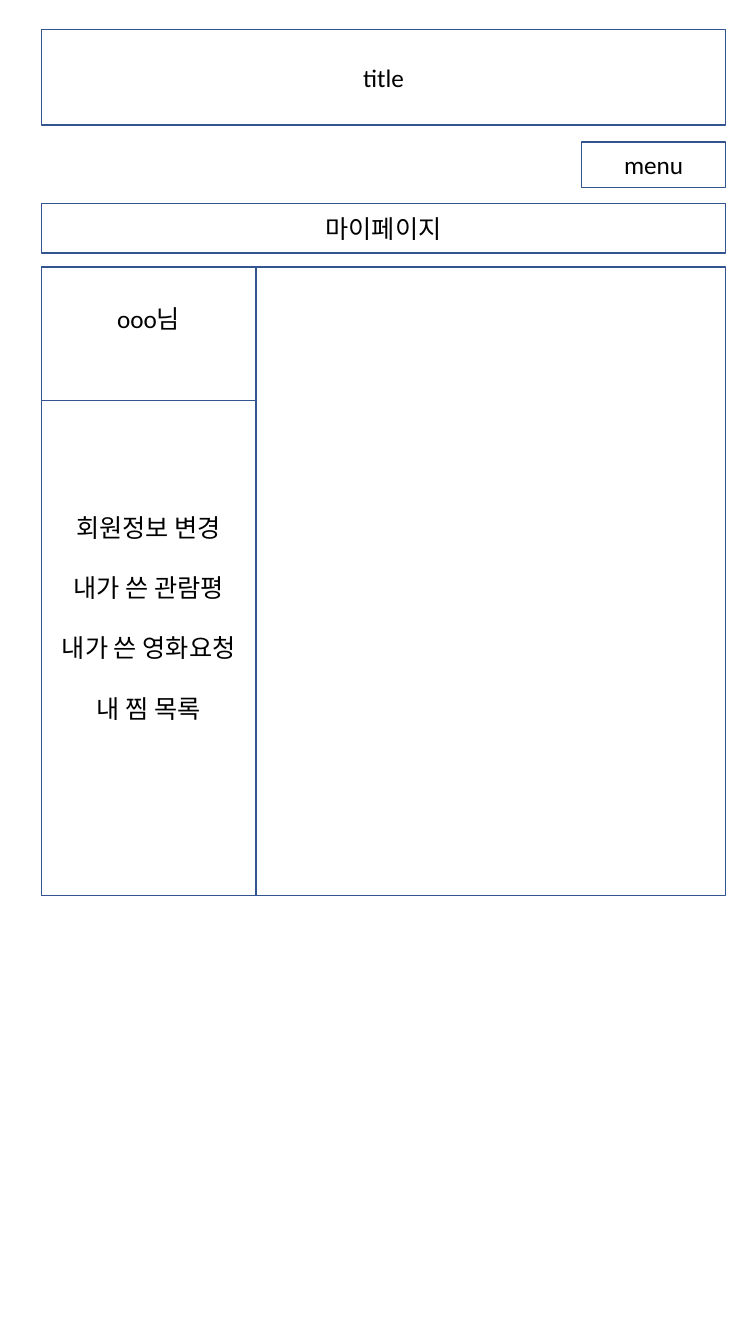
import pptx
import pptx.dml.color
import pptx.enum.shapes
import pptx.enum.text
import pptx.util
from pptx.util import Inches

COLORS = {"panel": "FFFFFF", "border": "325491", "text": "000000"}
LEFT, WIDTH, SIDEBAR_WIDTH = 0.41, 6.79, 2.13
BODY_TOP, BODY_HEIGHT, GREETING_HEIGHT = 2.65, 6.23, 1.32
SIDEBAR_LINKS = ["회원정보 변경", "내가 쓴 관람평", "내가 쓴 영화요청", "내 찜 목록"]


def rgb(name):
    return pptx.dml.color.RGBColor.from_string(COLORS[name])


def add_panel(slide, left, top, width, height, lines=(), bottom_inset=0.05):
    panel = slide.shapes.add_shape(
        pptx.enum.shapes.MSO_SHAPE.RECTANGLE,
        Inches(left), Inches(top), Inches(width), Inches(height))
    panel.shadow.inherit = False
    panel.fill.solid()
    panel.fill.fore_color.rgb = rgb("panel")
    panel.line.color.rgb = rgb("border")
    panel.line.width = pptx.util.Pt(1)

    frame = panel.text_frame
    frame.word_wrap = True
    frame.vertical_anchor = pptx.enum.text.MSO_ANCHOR.MIDDLE
    frame.margin_bottom = Inches(bottom_inset)
    for index, line in enumerate(lines):
        paragraph = frame.add_paragraph() if index else frame.paragraphs[0]
        paragraph.alignment = pptx.enum.text.PP_ALIGN.CENTER
        if index:
            paragraph.space_before = pptx.util.Pt(21.5)
        run = paragraph.add_run()
        run.text = line
        run.font.name = "Calibri"
        run.font.size = pptx.util.Pt(18)
        run.font.color.rgb = rgb("text")


def main():
    deck = pptx.Presentation()
    deck.slide_width = Inches(7.5)
    deck.slide_height = Inches(13.33)
    slide = deck.slides.add_slide(deck.slide_layouts[6])

    add_panel(slide, 5.77, 1.41, 1.43, 0.45, ["menu"])
    add_panel(slide, LEFT, 0.29, WIDTH, 0.95, ["title"])
    add_panel(slide, LEFT, BODY_TOP, WIDTH, BODY_HEIGHT)
    add_panel(slide, LEFT, BODY_TOP + GREETING_HEIGHT, SIDEBAR_WIDTH,
              BODY_HEIGHT - GREETING_HEIGHT, SIDEBAR_LINKS, 0.65)
    add_panel(slide, LEFT, BODY_TOP, SIDEBAR_WIDTH, GREETING_HEIGHT, ["ooo님"], 0.35)
    add_panel(slide, LEFT, 2.02, WIDTH, 0.49, ["마이페이지"])

    deck.save("out.pptx")


if __name__ == "__main__":
    main()
